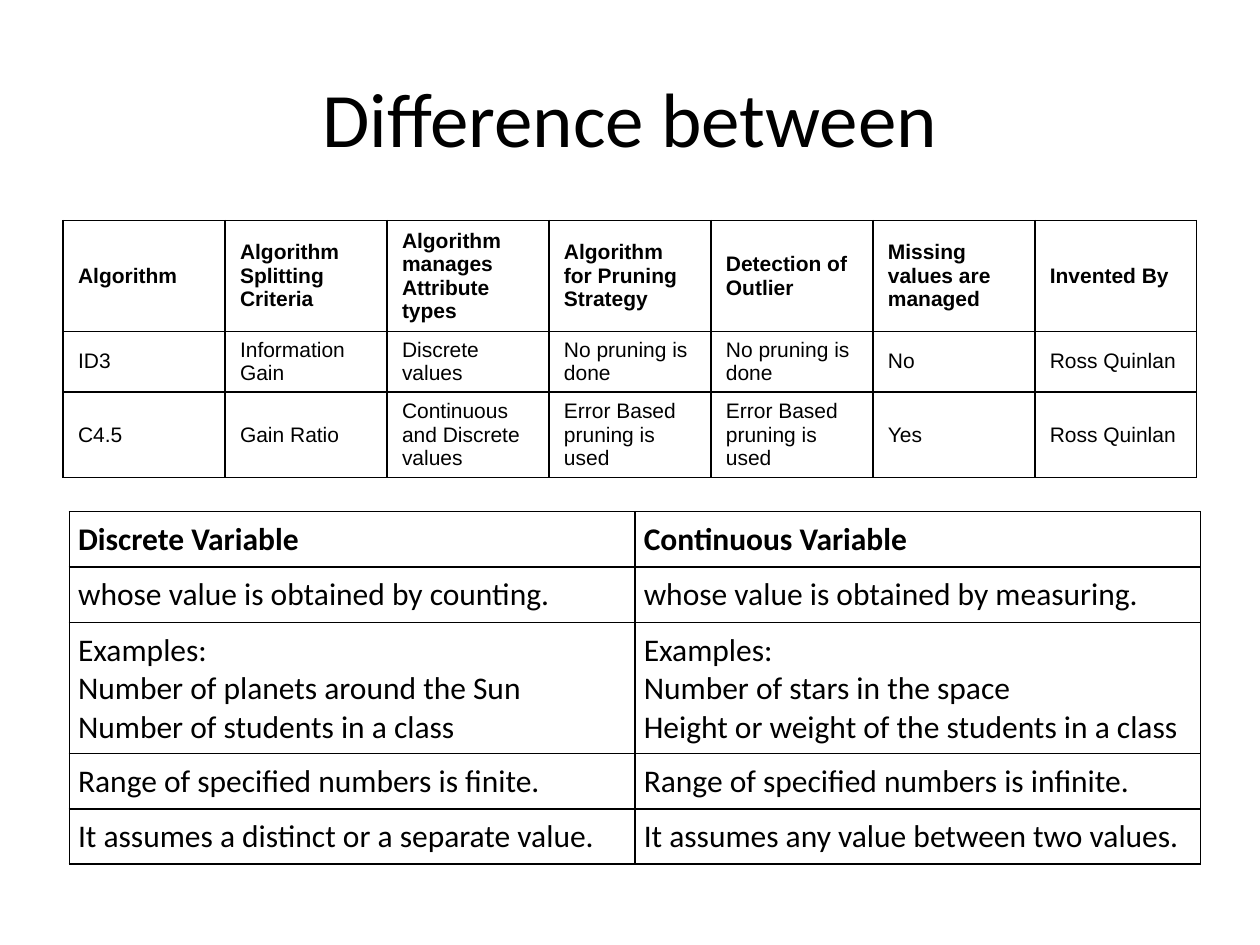
from dataclasses import dataclass

from lxml import etree
from pptx import Presentation
from pptx.dml.color import RGBColor
from pptx.enum.text import MSO_ANCHOR, PP_ALIGN
from pptx.oxml.ns import qn
from pptx.util import Inches, Pt

TOP, MIDDLE = MSO_ANCHOR.TOP, MSO_ANCHOR.MIDDLE
LEFT, CENTER = PP_ALIGN.LEFT, PP_ALIGN.CENTER


@dataclass(frozen=True)
class Theme:
    ink: str = "000000"
    head: str = "Calibri"
    body: str = "Arial"
    title: int = 44
    large: int = 18
    small: int = 12
    rule: int = 1


theme = Theme()


def write(frame, text, font, size, bold=False, align=LEFT):
    """Fill a text frame, one paragraph for each line of text."""
    frame.word_wrap = True
    frame.text = text
    for para in frame.paragraphs:
        para.alignment = align
        for run in para.runs:
            run.font.name = font
            run.font.size = Pt(size)
            run.font.bold = bold
            run.font.color.rgb = RGBColor.from_string(theme.ink)


def border(cell):
    props = cell._tc.get_or_add_tcPr()
    for side in ("lnL", "lnR", "lnT", "lnB"):
        line = etree.SubElement(props, qn(f"a:{side}"), w=str(Pt(theme.rule)))
        fill = etree.SubElement(line, qn("a:solidFill"))
        etree.SubElement(fill, qn("a:srgbClr"), val=theme.ink)


deck = Presentation()
deck.slide_width, deck.slide_height = Inches(10), Inches(7.5)
slide = deck.slides.add_slide(deck.slide_layouts[6])

title = slide.shapes.add_textbox(Inches(0.5), Inches(0.3), Inches(9), Inches(1.25))
title.text_frame.vertical_anchor = MIDDLE
write(title.text_frame, "Difference between", theme.head, theme.title, align=CENTER)

trees = [
    ["Algorithm", "Algorithm Splitting Criteria", "Algorithm manages Attribute types",
     "Algorithm for Pruning Strategy", "Detection of Outlier",
     "Missing values are managed", "Invented By"],
    ["ID3", "Information Gain", "Discrete values", "No pruning is done",
     "No pruning is done", "No", "Ross Quinlan"],
    ["C4.5", "Gain Ratio", "Continuous and Discrete values",
     "Error Based pruning is used", "Error Based pruning is used", "Yes", "Ross Quinlan"],
]
kinds = [
    ["Discrete Variable", "Continuous Variable"],
    ["whose value is obtained by counting.", "whose value is obtained by measuring."],
    ["Examples:\nNumber of planets around the Sun\nNumber of students in a class",
     "Examples:\nNumber of stars in the space\nHeight or weight of the students in a class"],
    ["Range of specified numbers is finite.", "Range of specified numbers is infinite."],
    ["It assumes a distinct or a separate value.",
     "It assumes any value between two values."],
]

# data, left, top, width, height, side inset, end inset, anchor, font, size
tables = [
    (trees, 0.5, 1.75, 9, 2.05, 0.12, 0.04, MIDDLE, theme.body, theme.small),
    (kinds, 0.55, 4.06, 8.98, 2.77, 0.07, 0.07, TOP, theme.head, theme.large),
]
for data, left, top, width, height, side, end, anchor, font, size in tables:
    frame = slide.shapes.add_table(len(data), len(data[0]), Inches(left), Inches(top),
                                   Inches(width), Inches(height))
    table = frame.table
    table.first_row = table.horz_banding = False
    for r, texts in enumerate(data):
        # Rows start low and grow to fit their text
        table.rows[r].height = Inches(0.41)
        for c, text in enumerate(texts):
            cell = table.cell(r, c)
            cell.margin_left = cell.margin_right = Inches(side)
            cell.margin_top = cell.margin_bottom = Inches(end)
            cell.vertical_anchor = anchor
            border(cell)
            cell.fill.background()
            write(cell.text_frame, text, font, size, bold=r == 0)
    frame.height = Inches(height)

deck.save("out.pptx")
